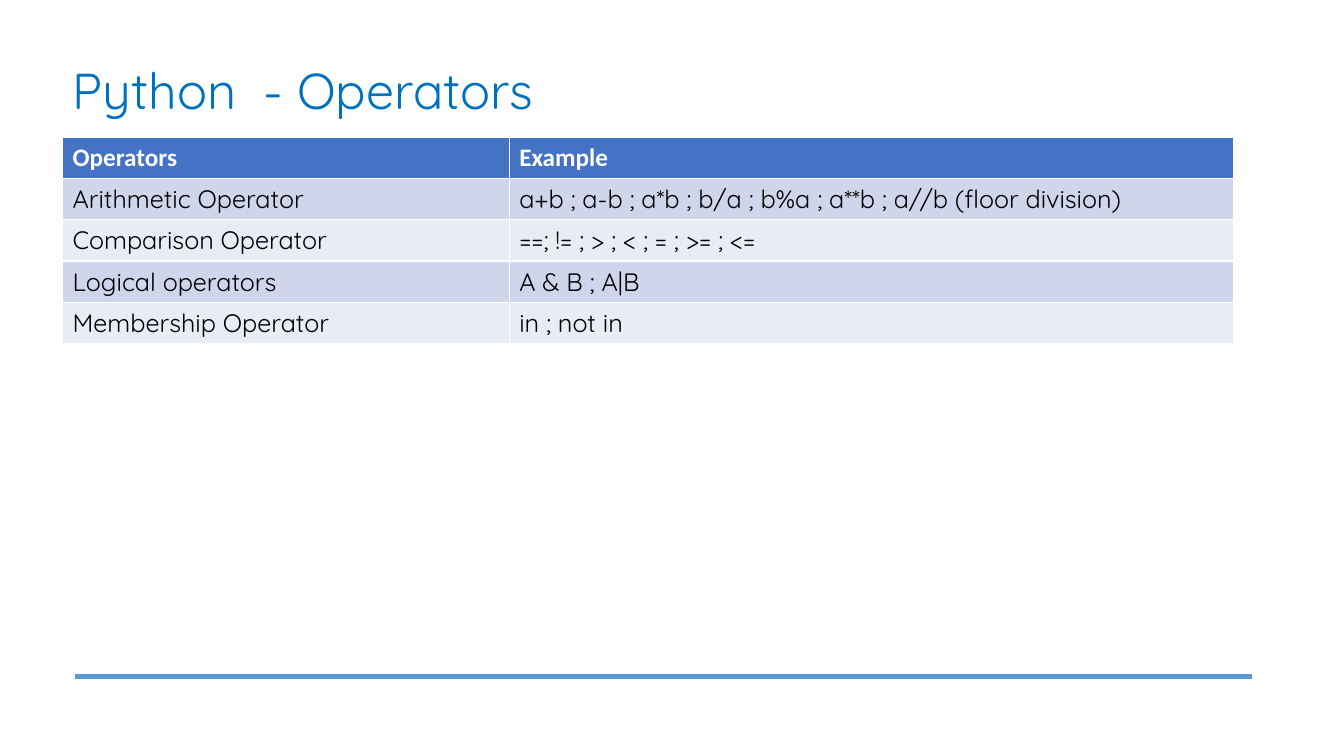
import pptx
import pptx.dml.color
import pptx.enum.shapes
import pptx.util
import lxml.etree

PX = 9144  # EMU per px, at 100 px to the inch
COLORS = {
    "title": "0070C0",
    "rule": "5B9BD5",
    "head": "4472C4",
    "odd": "CFD5EA",
    "even": "E9EBF5",
    "white": "FFFFFF",
    "black": "000000",
}
WIDTHS = [443, 719]
ROW = 41
ROWS = [
    ("Operators", "Example"),
    ("Arithmetic Operator",
     "a+b ; a-b ; a*b ; b/a ; b%a ; a**b ; a//b (floor division)"),
    ("Comparison Operator", "==; != ; > ; < ; = ; >= ; <="),
    ("Logical operators", "A & B ; A|B"),
    ("Membership Operator", "in ; not in"),
]


def scale(*sizes):
    return [pptx.util.Emu(size * PX) for size in sizes]


def color(name):
    return pptx.dml.color.RGBColor.from_string(COLORS[name])


def write(frame, text, size, face, ink, bold=False):
    para = frame.paragraphs[0]
    para.text = text
    font = para.font
    font.size = pptx.util.Pt(size)
    font.name = face
    font.bold = bold
    font.color.rgb = color(ink)


def add_rule(slide, left, right, top):
    kind = pptx.enum.shapes.MSO_CONNECTOR.STRAIGHT
    rule = slide.shapes.add_connector(kind, *scale(left, top, right, top))
    rule.line.color.rgb = color("rule")
    rule.line.width = pptx.util.Pt(3.5)
    props = rule._element.spPr
    lxml.etree.SubElement(props, pptx.oxml.ns.qn("a:effectLst"))


def add_title(slide, text, *place):
    frame = slide.shapes.add_textbox(*scale(*place)).text_frame
    frame.word_wrap = True
    write(frame, text, 36, "Quicksand", "title")


def add_table(slide, left, top):
    """Add the grid; its default style draws the white borders."""
    place = scale(left, top, sum(WIDTHS), ROW * len(ROWS))
    table = slide.shapes.add_table(len(ROWS), len(WIDTHS), *place).table
    for column, width in zip(table.columns, scale(*WIDTHS)):
        column.width = width
    for i, texts in enumerate(ROWS):
        head = i == 0
        fill = "head" if head else "odd" if i % 2 else "even"
        face = "Calibri" if head else "Quicksand"
        ink = "white" if head else "black"
        for cell, text in zip(table.rows[i].cells, texts):
            cell.fill.solid()
            cell.fill.fore_color.rgb = color(fill)
            write(cell.text_frame, text, 18, face, ink, head)


def main():
    deck = pptx.Presentation()
    deck.slide_width, deck.slide_height = scale(1333, 750)
    slide = deck.slides.add_slide(deck.slide_layouts[6])
    add_rule(slide, 74, 1242, 671)
    add_title(slide, "Python  - Operators", 62, 54, 1131, 71)
    add_table(slide, 62, 136)
    deck.save("out.pptx")


if __name__ == "__main__":
    main()
